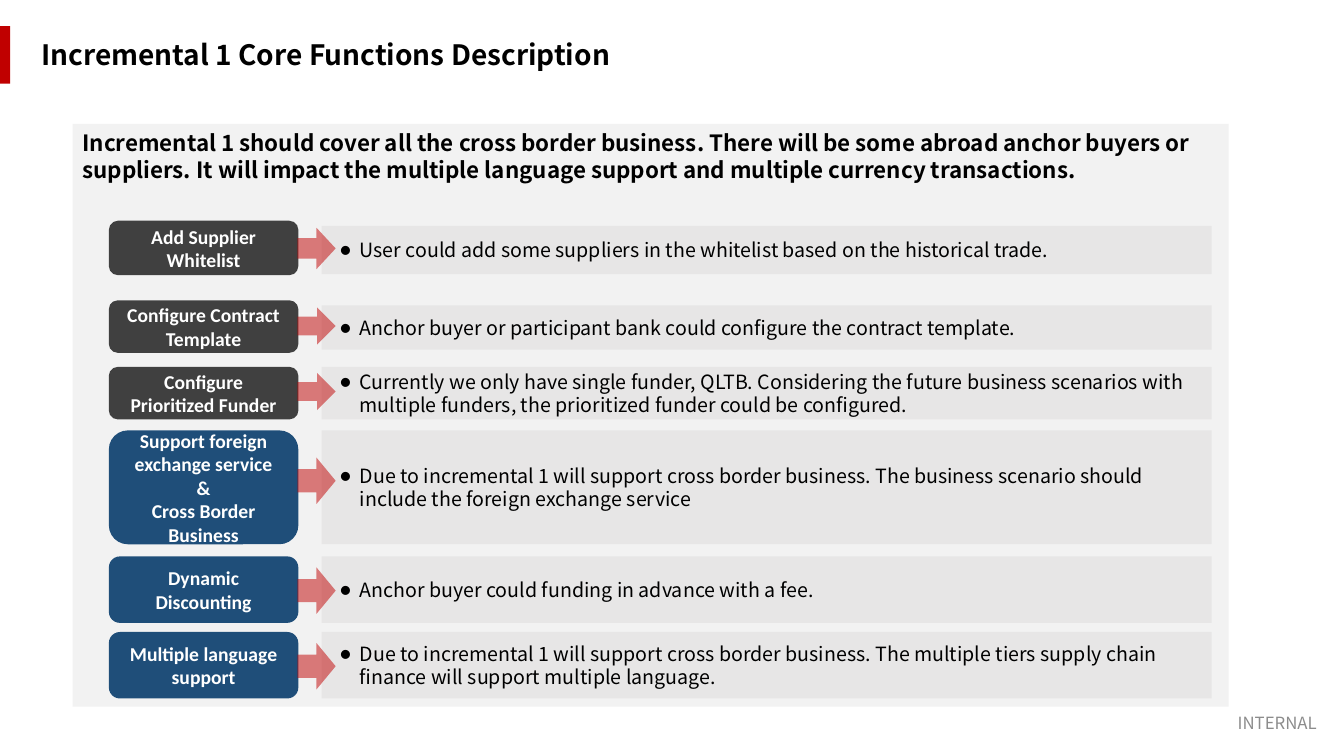
from dataclasses import dataclass

from lxml import etree
from pptx import Presentation
from pptx import util as u
from pptx.dml import color
from pptx.enum import shapes, text
from pptx.oxml import ns

# Grid: square cells, a tenth of an inch wide
CELL = u.Inches(0.1)
COLUMNS, ROWS = 133.33, 75

COLORS = {
    "panel": "F2F2F2",
    "bar": "E7E6E6",
    "accent": "C00000",
    "dark": "404040",
    "blue": "1F4E79",
    "black": "000000",
    "white": "FFFFFF",
    "muted": "8C8C8C",
}
BODY_FONT, LABEL_FONT = "Noto Sans CJK SC", "Calibri"

# Columns shared by every function row: left, width
LABEL_COLUMNS = (10.8, 18.8)
BAR_COLUMNS = (31.9, 88.3)
ARROW_COLUMNS = (29.5, 3.8)


@dataclass(frozen=True)
class Span:
    top: float
    height: float


@dataclass(frozen=True)
class TextStyle:
    size: float
    font: str = BODY_FONT
    color: str = "black"
    bold: bool = False
    align: text.PP_ALIGN = text.PP_ALIGN.LEFT
    anchor: text.MSO_ANCHOR = text.MSO_ANCHOR.MIDDLE


@dataclass(frozen=True)
class FunctionRow:
    label: str
    description: str
    fill: str
    box: Span
    bar: Span
    arrow: Span


TITLE = TextStyle(20, bold=True, anchor=text.MSO_ANCHOR.TOP)
SUMMARY = TextStyle(16, bold=True, anchor=text.MSO_ANCHOR.TOP)
FOOTER = TextStyle(12, color="muted")
LABEL = TextStyle(14, LABEL_FONT, "white", True, text.PP_ALIGN.CENTER)
DESCRIPTION = TextStyle(14)

FUNCTION_ROWS = [
    FunctionRow(
        "Add Supplier Whitelist",
        "User could add some suppliers in the whitelist based on the historical trade.",
        "dark", Span(21.9, 5.4), Span(22.4, 4.8), Span(22.6, 4.1)),
    FunctionRow(
        "Configure Contract Template",
        "Anchor buyer or participant bank could configure the contract template.",
        "dark", Span(29.8, 5.2), Span(30.3, 4.4), Span(30.5, 3.7)),
    FunctionRow(
        "Configure Prioritized Funder",
        "Currently we only have single funder, QLTB. Considering the future business "
        "scenarios with multiple funders, the prioritized funder could be configured.",
        "dark", Span(36.4, 5.2), Span(36.4, 5.2), Span(37, 3.7)),
    FunctionRow(
        "Support foreign exchange service\n&\nCross Border Business",
        "Due to incremental 1 will support cross border business. The business "
        "scenario should include the foreign exchange service",
        "blue", Span(42.7, 11.3), Span(42.7, 11.3), Span(45.4, 4.6)),
    FunctionRow(
        "Dynamic Discounting",
        "Anchor buyer could funding in advance with a fee.",
        "blue", Span(55.2, 6.6), Span(55.2, 6.6), Span(56.3, 4.6)),
    FunctionRow(
        "Multiple language\vsupport",
        "Due to incremental 1 will support cross border business. The multiple tiers "
        "supply chain finance will support multiple language.",
        "blue", Span(62.7, 6.6), Span(62.7, 6.6), Span(63.8, 4.6)),
]


def cells(*counts: float) -> list[int]:
    return [round(count * CELL) for count in counts]


def write(shape, content: str, style: TextStyle) -> None:
    frame = shape.text_frame
    frame.word_wrap = True
    frame.vertical_anchor = style.anchor
    frame.text = content
    for paragraph in frame.paragraphs:
        paragraph.alignment = style.align
        for run in paragraph.runs:
            run.font.name = style.font
            run.font.size = u.Pt(style.size)
            run.font.bold = style.bold
            run.font.color.rgb = color.RGBColor.from_string(COLORS[style.color])


def add_block(parent, kind: shapes.MSO_SHAPE, columns: tuple[float, float],
              span: Span, fill: str):
    left, width = columns
    shape = parent.add_shape(kind, *cells(left, span.top, width, span.height))
    shape.shadow.inherit = False
    shape.fill.solid()
    shape.fill.fore_color.rgb = color.RGBColor.from_string(COLORS[fill])
    shape.line.fill.background()
    return shape


def add_label(parent, columns: tuple[float, float], span: Span,
              content: str, style: TextStyle):
    left, width = columns
    box = parent.add_textbox(*cells(left, span.top, width, span.height))
    write(box, content, style)
    return box


def set_transparency(shape, percent: int) -> None:
    fill_color = shape.fill._xPr.find(".//" + ns.qn("a:srgbClr"))
    alpha = etree.SubElement(fill_color, ns.qn("a:alpha"))
    alpha.set("val", str((100 - percent) * 1000))


def add_bullets(shape) -> None:
    for paragraph in shape.text_frame.paragraphs:
        properties = paragraph._p.get_or_add_pPr()
        properties.set("marL", str(u.Inches(0.28)))
        properties.set("indent", str(u.Inches(-0.2)))
        etree.SubElement(properties, ns.qn("a:buFont")).set("typeface", LABEL_FONT)
        etree.SubElement(properties, ns.qn("a:buChar")).set("char", "●")


def add_function_row(slide, row: FunctionRow) -> None:
    group = slide.shapes.add_group_shape().shapes
    label = add_block(group, shapes.MSO_SHAPE.ROUNDED_RECTANGLE,
                      LABEL_COLUMNS, row.box, row.fill)
    write(label, row.label, LABEL)
    bar = add_block(group, shapes.MSO_SHAPE.RECTANGLE, BAR_COLUMNS, row.bar, "bar")
    write(bar, row.description, DESCRIPTION)
    add_bullets(bar)
    arrow = add_block(group, shapes.MSO_SHAPE.RIGHT_ARROW,
                      ARROW_COLUMNS, row.arrow, "accent")
    set_transparency(arrow, 50)


def main() -> None:
    presentation = Presentation()
    presentation.slide_width, presentation.slide_height = cells(COLUMNS, ROWS)
    slide = presentation.slides.add_slide(presentation.slide_layouts[6])

    # Panel with the summary
    panel = add_block(slide.shapes, shapes.MSO_SHAPE.RECTANGLE,
                      (7.2, 114.7), Span(12.3, 57.8), "panel")
    write(panel, "Incremental 1 should cover all the cross border business. There will be "
          "some abroad anchor buyers or suppliers. It will impact the multiple language "
          "support and multiple currency transactions.", SUMMARY)

    # Title, its red marker and the footer
    title = add_label(slide.shapes, (3.1, 104.1), Span(3.2, 4.4),
                      "Incremental 1 Core Functions Description", TITLE)
    title.text_frame.auto_size = text.MSO_AUTO_SIZE.SHAPE_TO_FIT_TEXT
    add_block(slide.shapes, shapes.MSO_SHAPE.RECTANGLE, (0, 1), Span(2.6, 5.7), "accent")
    add_label(slide.shapes, (121.8, 9.9), Span(70.7, 2), "INTERNAL", FOOTER)

    # Core functions
    for row in FUNCTION_ROWS:
        add_function_row(slide, row)

    presentation.save("out.pptx")


if __name__ == "__main__":
    main()
